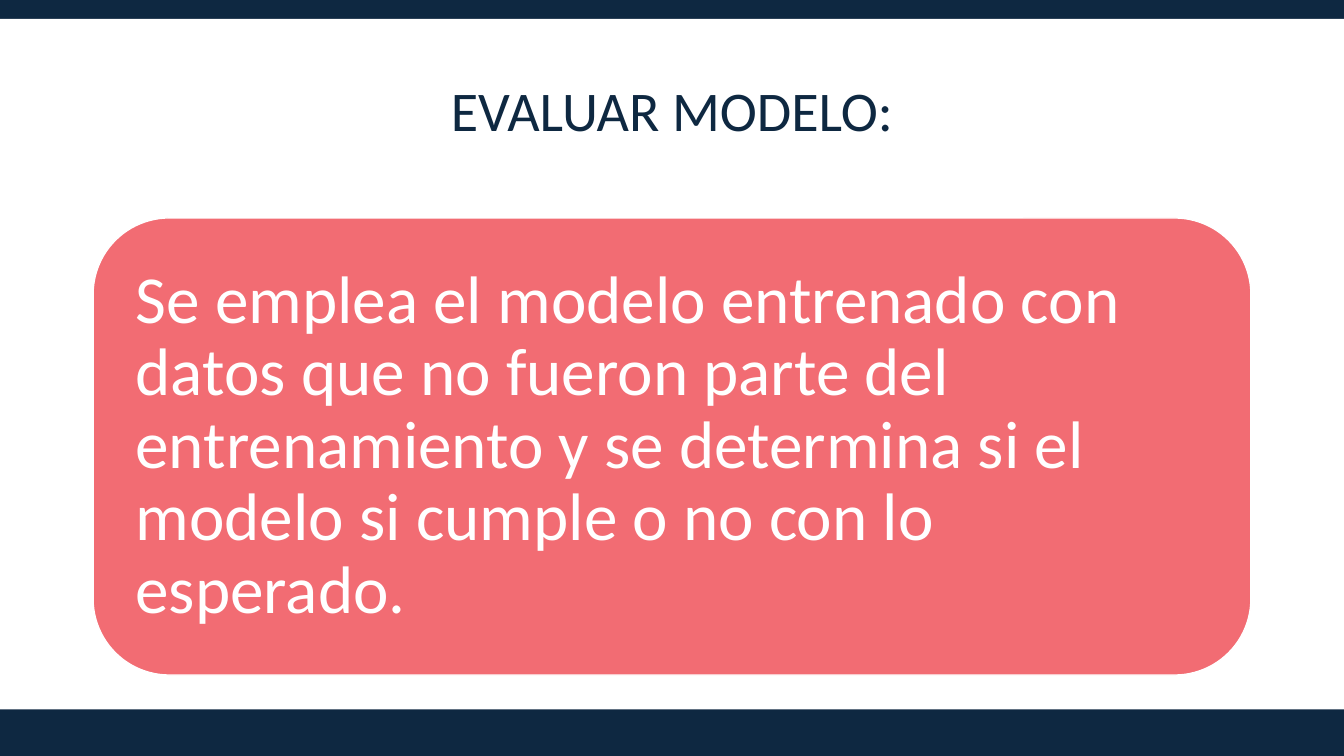
from pptx import Presentation
from pptx.dml.color import RGBColor
from pptx.enum.shapes import MSO_SHAPE as Shape
from pptx.enum.text import MSO_ANCHOR as Anchor, PP_ALIGN as Align
from pptx.util import Pt

NAVY = RGBColor(0x0E, 0x28, 0x41)
CORAL = RGBColor(0xF2, 0x6C, 0x73)
WHITE = RGBColor(0xFF, 0xFF, 0xFF)
WIDTH, HEIGHT = 960, 540


def add_panel(page, box, kind, fill, line=None):
    panel = page.shapes.add_shape(kind, *map(Pt, box))
    panel.shadow.inherit = False
    panel.fill.solid()
    panel.fill.fore_color.rgb = fill
    if line is None:
        panel.line.fill.background()
    else:
        panel.line.color.rgb = line
        panel.line.width = Pt(1)
    return panel


def add_text(page, box, text, *, size, color, spacing, align=Align.LEFT, inset=(7.2, 3.6)):
    frame = page.shapes.add_textbox(*map(Pt, box)).text_frame
    frame.word_wrap = True
    frame.vertical_anchor = Anchor.MIDDLE
    frame.margin_left = frame.margin_right = Pt(inset[0])
    frame.margin_top = frame.margin_bottom = Pt(inset[1])
    para = frame.paragraphs[0]
    para.alignment = align
    para.line_spacing = spacing
    span = para.add_run()
    span.text = text
    span.font.name = "Calibri"
    span.font.size = Pt(size)
    span.font.color.rgb = color


def add_backdrop(page, box):
    """White sheet that leaves a navy band above and below."""
    page.background.fill.solid()
    page.background.fill.fore_color.rgb = NAVY
    left, top, width, height = box
    add_panel(page, (left, top + 13.5, width, height - 46.8), Shape.RECTANGLE, WHITE)


def add_card(page, box, text):
    """Rounded card with its text set in from the edges."""
    left, top, width, height = box
    add_panel(page, box, Shape.ROUNDED_RECTANGLE, CORAL, line=WHITE)
    pad = 16
    inner = (left + pad, top + pad, width - 2 * pad, height - 2 * pad)
    add_text(page, inner, text, size=48, color=WHITE, spacing=0.9, inset=(14.4, 14.4))


def main():
    deck = Presentation()
    deck.slide_width, deck.slide_height = Pt(WIDTH), Pt(HEIGHT)
    page = deck.slides.add_slide(deck.slide_layouts[6])

    add_backdrop(page, (0, 0, WIDTH, HEIGHT))

    # Title
    add_text(page, (95, 22.3, 770, 118.8), "EVALUAR MODELO:",
             size=40, color=NAVY, spacing=0.85, align=Align.CENTER)

    # Explanation
    add_card(page, (66.5, 155.7, 827, 326.5),
             "Se emplea el modelo entrenado con datos que no fueron parte del "
             "entrenamiento y se determina si el modelo si cumple o no con lo esperado.")

    deck.save("out.pptx")


if __name__ == "__main__":
    main()
